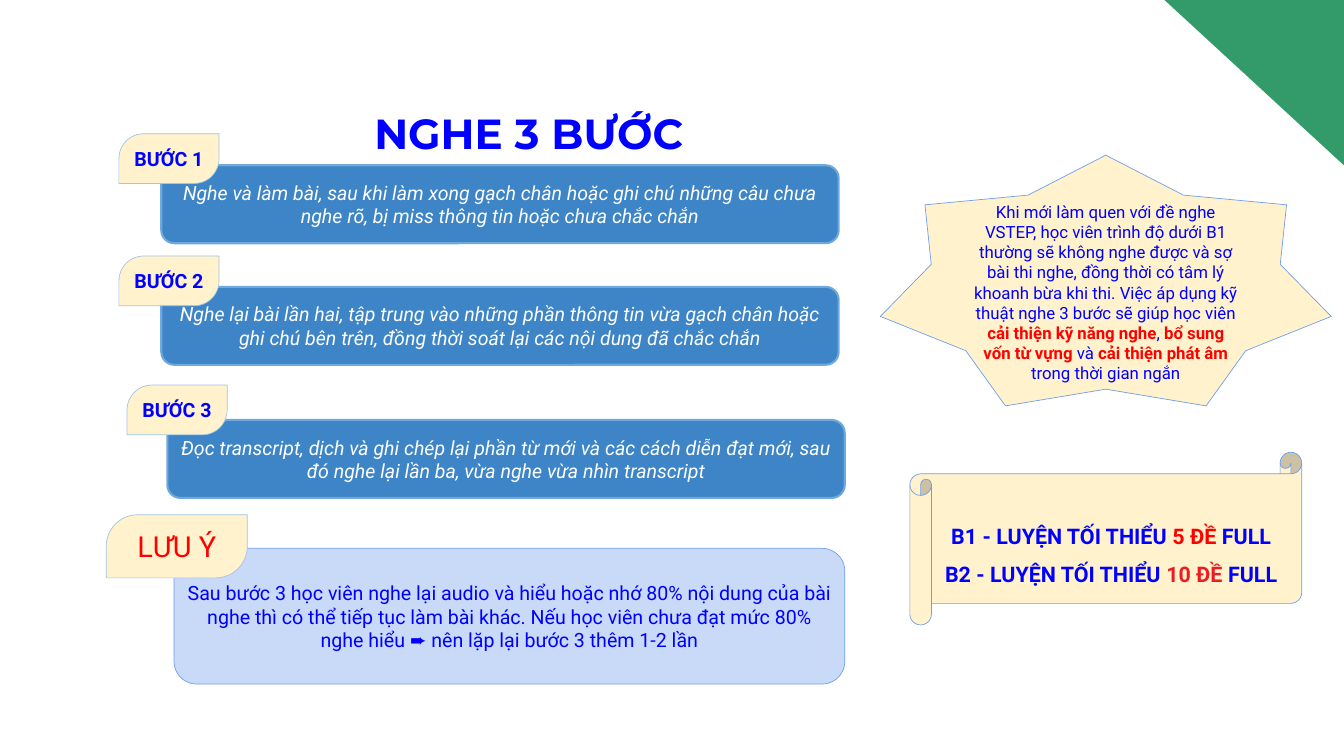
from lxml import etree
from pptx import Presentation
from pptx.dml.color import RGBColor
from pptx.enum.shapes import MSO_SHAPE
from pptx.enum.text import MSO_ANCHOR, PP_ALIGN
from pptx.oxml.ns import qn
from pptx.util import Pt

ROUND = MSO_SHAPE.ROUNDED_RECTANGLE
LEAF = MSO_SHAPE.ROUND_2_DIAG_RECTANGLE
STAR = MSO_SHAPE.STAR_7_POINT
SCROLL = MSO_SHAPE.HORIZONTAL_SCROLL
WEDGE = MSO_SHAPE.ISOSCELES_TRIANGLE
MIDDLE = MSO_ANCHOR.MIDDLE
CENTER = PP_ALIGN.CENTER

INK = RGBColor(0x00, 0x00, 0xFF)
RED = RGBColor(0xFF, 0x00, 0x00)
ROSE = RGBColor(0xEB, 0x1C, 0x24)
WHITE = RGBColor(0xFE, 0xFE, 0xFE)
CREAM = RGBColor(0xFF, 0xF2, 0xCC)
BLUE = RGBColor(0x3D, 0x85, 0xC6)
SKY = RGBColor(0x6F, 0xA8, 0xDC)
MIST = RGBColor(0x9F, 0xC5, 0xE8)
PALE = RGBColor(0xC9, 0xDA, 0xF8)
EDGE = RGBColor(0x6D, 0x9E, 0xEB)
GREEN = RGBColor(0x01, 0x83, 0x45)

BODY = {"name": "Roboto", "size": Pt(21), "bold": False, "italic": False}
STEP = {**BODY, "italic": True}
LABEL = {**BODY, "bold": True}
NOTE = {**BODY, "size": Pt(31)}
TIP = {**BODY, "size": Pt(18)}
GOAL = {**LABEL, "size": Pt(23)}
TITLE = {**LABEL, "name": "Montserrat", "size": Pt(45)}

BAR = (725.8, 83.5)
TAB = (107.3, 53.3)
STEPS = [
    ((172.8, 177.1), (127.4, 143.3),
     "Nghe và làm bài, sau khi làm xong gạch chân hoặc ghi chú những câu chưa "
     "nghe rõ, bị miss thông tin hoặc chưa chắc chắn"),
    ((172.8, 307.4), (127.4, 274.3),
     "Nghe lại bài lần hai, tập trung vào những phần thông tin vừa gạch chân hoặc "
     "ghi chú bên trên, đồng thời soát lại các nội dung đã chắc chắn"),
    ((179.3, 450), (136.1, 412.6),
     "Đọc transcript, dịch và ghi chép lại phần từ mới và các cách diễn đạt mới, sau "
     "đó nghe lại lần ba, vừa nghe vừa nhìn transcript"),
]
ADVICE = (
    "Sau bước 3 học viên nghe lại audio và hiểu hoặc nhớ 80% nội dung của bài "
    "nghe thì có thể tiếp tục làm bài khác. Nếu học viên chưa đạt mức 80% "
    "nghe hiểu ➨ nên lặp lại bước 3 thêm 1-2 lần")
INTRO = (
    "Khi mới làm quen với đề nghe VSTEP, học viên trình độ dưới B1 thường sẽ "
    "không nghe được và sợ bài thi nghe, đồng thời có tâm lý khoanh bừa khi thi. "
    "Việc áp dụng kỹ thuật nghe 3 bước sẽ giúp học viên ")


def write(para, parts, form):
    """Add one run for each (text, colour, bold) part; bold may be left out."""
    for text, color, *bold in parts:
        run = para.add_run()
        run.text = text
        for key, value in form.items():
            setattr(run.font, key, value)
        if bold:
            run.font.bold = bold[0]
        run.font.color.rgb = color


def panel(slide, kind, box, fill, line, width=0.75):
    shape = slide.shapes.add_shape(kind, *map(Pt, box))
    shape.shadow.inherit = False
    shape.fill.solid()
    shape.fill.fore_color.rgb = fill
    shape.line.color.rgb = line
    shape.line.width = Pt(width)
    return shape


def fill_text(shape, lines, form, top=7.2, space=None):
    frame = shape.text_frame
    frame.word_wrap = True
    frame.vertical_anchor = MIDDLE
    for side in ("left", "right", "bottom"):
        setattr(frame, f"margin_{side}", Pt(7.2))
    frame.margin_top = Pt(top)
    for i, parts in enumerate(lines):
        para = frame.add_paragraph() if i else frame.paragraphs[0]
        para.alignment = CENTER
        para.line_spacing = space
        write(para, parts, form)


def add_title(slide, box):
    frame = slide.shapes.add_textbox(*map(Pt, box)).text_frame
    frame.word_wrap = True
    for side in ("left", "right", "top", "bottom"):
        setattr(frame, f"margin_{side}", 0)
    frame.paragraphs[0].line_spacing = 1.35
    write(frame.paragraphs[0], [("NGHE 3 BƯỚC", INK)], TITLE)


def add_tab(slide, box, text, color, form):
    tab = panel(slide, LEAF, box, CREAM, MIST)
    tab.adjustments[0] = 0.5
    fill_text(tab, [[(text, color)]], form)


def add_step(slide, bar, tab, num, text):
    shape = panel(slide, ROUND, bar, BLUE, SKY, 2.25)
    fill_text(shape, [[(text, WHITE)]], STEP)
    add_tab(slide, tab, f"BƯỚC {num}", INK, LABEL)


def add_note(slide, box, tab):
    fill_text(panel(slide, ROUND, box, PALE, EDGE), [[(ADVICE, INK)]], BODY)
    add_tab(slide, tab, "LƯU Ý", RED, NOTE)


def add_star(slide, box):
    star = panel(slide, STAR, box, CREAM, EDGE)
    star.adjustments[0] = 0.387
    parts = [
        (INTRO, INK),
        ("cải thiện kỹ năng nghe", RED, True),
        (", ", INK),
        ("bổ sung vốn từ vựng", RED, True),
        (" và ", INK),
        ("cải thiện phát âm", RED, True),
        (" trong thời gian ngắn", INK),
    ]
    fill_text(star, [parts], TIP, top=49)


def add_scroll(slide, box):
    scroll = panel(slide, SCROLL, box, CREAM, EDGE)
    goals = [("B1", "5", RED), ("B2", "10", ROSE)]
    lines = [[(f"{level} - LUYỆN TỐI THIỂU ", INK), (f"{count} ĐỀ", color), (" FULL", INK)]
             for level, count, color in goals]
    fill_text(scroll, lines, GOAL, top=28, space=1.5)


def add_corner(slide, box):
    wedge = panel(slide, WEDGE, box, GREEN, GREEN)
    wedge.rotation = 180
    wedge.line.fill.background()
    tint = wedge.fill._xPr.find(qn("a:solidFill"))[0]
    etree.SubElement(tint, qn("a:alpha"), val="80000")


def main():
    deck = Presentation()
    deck.slide_width, deck.slide_height = Pt(1440), Pt(810)
    slide = deck.slides.add_slide(deck.slide_layouts[6])
    add_title(slide, (401, 96.5, 368.6, 54.7))
    for num, (bar, tab, text) in enumerate(STEPS, 1):
        add_step(slide, bar + BAR, tab + TAB, num, text)
    add_note(slide, (186.5, 587.5, 718.6, 145.4), (113.8, 551.5, 151.2, 67.7))
    add_star(slide, (943.2, 166.3, 483.1, 268.6))
    add_scroll(slide, (974.9, 484.6, 419.8, 185))
    add_corner(slide, (1184.4, -58.3, 604.8, 278.6))
    deck.save("out.pptx")


if __name__ == "__main__":
    main()
